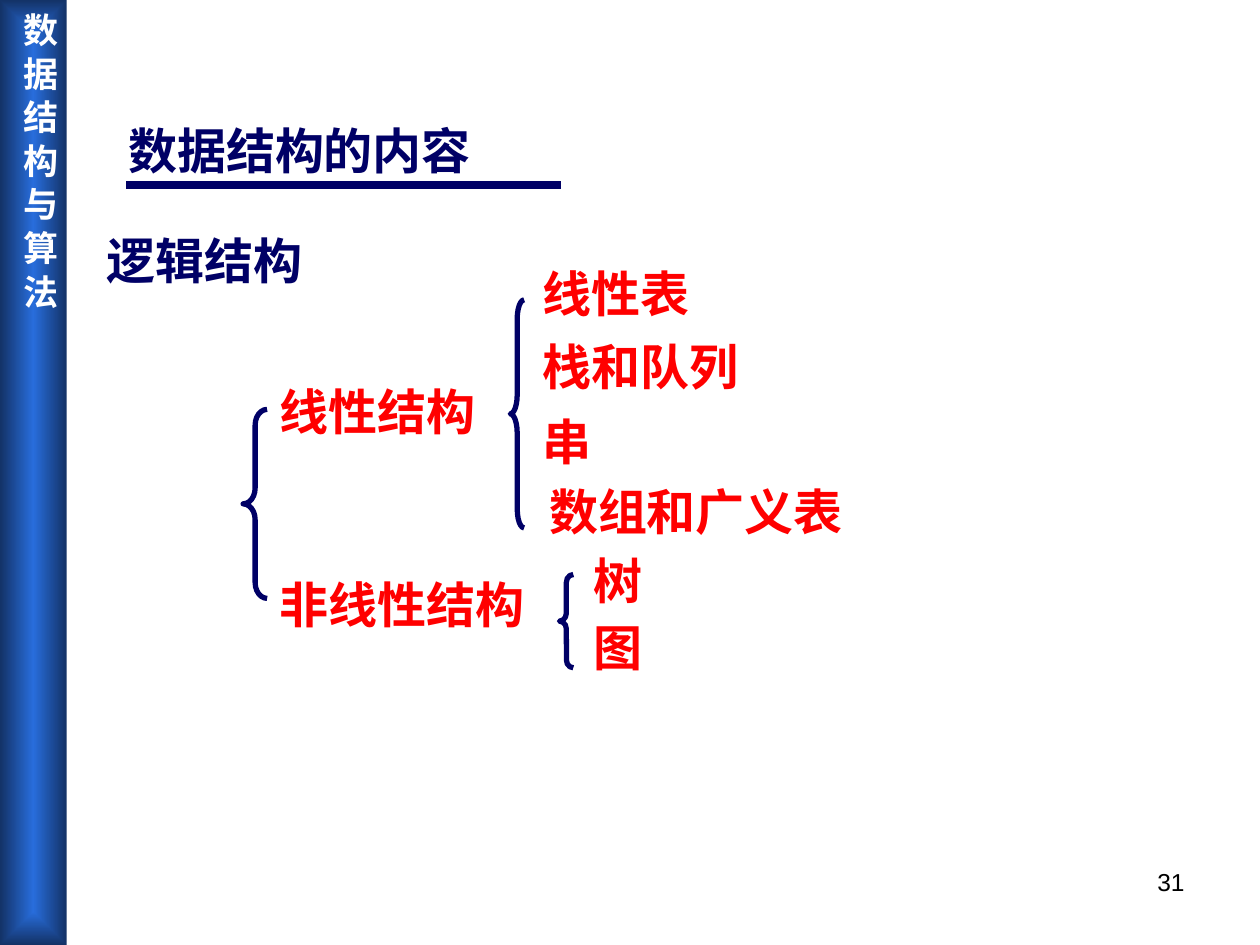
from dataclasses import dataclass

from lxml import etree
from pptx import Presentation, util as u
from pptx.dml.color import RGBColor
from pptx.enum import shapes, text
from pptx.oxml.ns import qn

COURSE = "数 据 结 构 与 算 法"
PAGE = "31"
HEADINGS = [
    ("数据结构的内容", 9.2, 12.13, 37.7),
    ("逻辑结构", 7.5, 23.73, None),
]
BRANCHES = [
    ("线性结构", 21.2, 39.73, 19.3, "Noto Sans CJK SC"),
    ("非线性结构", 21.2, 60.13, 24.1, "Times New Roman"),
]
LEAVES = [
    ("线性表", 42.1, 27.2),
    ("栈和队列", 42.1, 34.93),
    ("串", 42.1, 42.93),
    ("数组和广义表", 42.6, 50.27),
    ("树", 46.1, 57.6),
    ("图", 46.1, 64.67),
]
BRACES = [
    (19.3, 43.33, 1.9, 20),
    (40.5, 31.73, 1.1, 24.13),
    (44.4, 60.8, 1.1, 9.87),
]
UNDERLINE = (10, 44.5, 19.6)
BAND = (0, 0, 5.3, 100)
PAGE_BOX = (71.7, 91.07, 23.3, 6.93)
ROW_HEIGHT = 7.6


@dataclass(frozen=True)
class Theme:
    navy: str = "000066"
    red: str = "FF0000"
    white: str = "FFFFFF"
    black: str = "000000"
    band_centre: str = "286DDC"
    band_edge: str = "133266"
    latin: str = "Arial"
    chinese: str = "Noto Sans CJK SC"
    body: int = 28
    course: int = 20
    page: int = 14
    brace: float = 3
    underline: float = 4.25


THEME = Theme()
deck = Presentation()
deck.slide_width, deck.slide_height = u.Inches(10), u.Inches(7.5)
slide = deck.slides.add_slide(deck.slide_layouts[6])


def across(percent):
    return round(deck.slide_width * percent / 100)


def down(percent):
    return round(deck.slide_height * percent / 100)


def place(left, top, width, height):
    return across(left), down(top), across(width), down(height)


def write(frame, words, size, color, font=THEME.latin, bold=True, align=None):
    paragraph = frame.paragraphs[0]
    paragraph.alignment = align
    run = paragraph.add_run()
    run.text = words
    run.font.size = u.Pt(size)
    run.font.bold = bold
    run.font.name = font
    run.font.color.rgb = RGBColor.from_string(color)
    east_asian = etree.SubElement(run.font._element, qn("a:ea"))
    east_asian.set("typeface", THEME.chinese)


def add_label(words, left, top, color, width=None, font=THEME.latin):
    natural = len(words) * THEME.body / 72 * 10 + 2
    label = slide.shapes.add_textbox(*place(left, top, width or natural, ROW_HEIGHT))
    label.text_frame.word_wrap = width is not None
    label.text_frame.auto_size = text.MSO_AUTO_SIZE.SHAPE_TO_FIT_TEXT
    write(label.text_frame, words, THEME.body, color, font)


def add_band():
    band = slide.shapes.add_shape(shapes.MSO_SHAPE.RECTANGLE, *place(*BAND))
    band.shadow.inherit = False
    band.line.fill.background()
    band.fill.gradient()
    for stop, color in zip(band.fill.gradient_stops, (THEME.band_centre, THEME.band_edge)):
        stop.color.rgb = RGBColor.from_string(color)
    gradient = band._element.spPr.find(qn("a:gradFill"))
    linear = gradient.find(qn("a:lin"))
    radial = etree.Element(qn("a:path"), path="rect")
    etree.SubElement(radial, qn("a:fillToRect"), l="50000", t="50000", r="50000", b="50000")
    gradient.replace(linear, radial)
    frame = band.text_frame
    frame.margin_left = frame.margin_right = u.Inches(0.05)
    frame.margin_top = frame.margin_bottom = u.Inches(0.1)
    frame.vertical_anchor = text.MSO_ANCHOR.TOP
    frame._txBody.bodyPr.set("vert", "eaVert")
    write(frame, COURSE, THEME.course, THEME.white, THEME.chinese,
          align=text.PP_ALIGN.CENTER)


def add_underline():
    start, end, level = UNDERLINE
    underline = slide.shapes.add_connector(
        shapes.MSO_CONNECTOR.STRAIGHT, across(start), down(level), across(end), down(level))
    underline.line.color.rgb = RGBColor.from_string(THEME.navy)
    underline.line.width = u.Pt(THEME.underline)
    etree.SubElement(underline._element.spPr, qn("a:effectLst"))


def add_brace(left, top, width, height):
    brace = slide.shapes.add_shape(
        shapes.MSO_SHAPE.LEFT_BRACE, *place(left, top, width, height))
    brace.adjustments[0] = brace.height / 12 / brace.width
    brace.shadow.inherit = False
    brace.fill.background()
    brace.line.color.rgb = RGBColor.from_string(THEME.navy)
    brace.line.width = u.Pt(THEME.brace)


add_band()
page = slide.shapes.add_textbox(*place(*PAGE_BOX))
page.text_frame.word_wrap = True
write(page.text_frame, PAGE, THEME.page, THEME.black, bold=False,
      align=text.PP_ALIGN.RIGHT)
for words, left, top, width in HEADINGS:
    add_label(words, left, top, THEME.navy, width)
add_underline()
for words, left, top, width, font in BRANCHES:
    add_label(words, left, top, THEME.red, width, font)
for box in BRACES:
    add_brace(*box)
for words, left, top in LEAVES:
    add_label(words, left, top, THEME.red)

deck.save("out.pptx")
